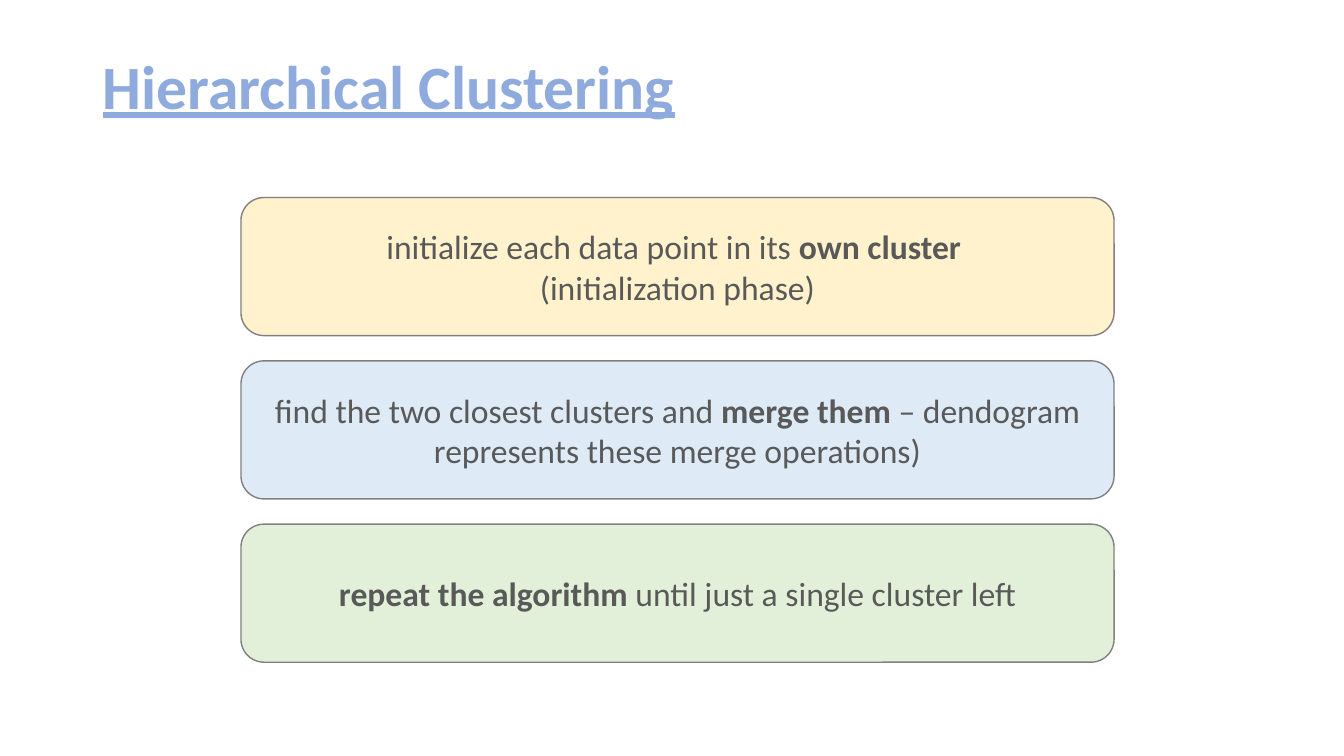
import pptx
import pptx.util
import pptx.dml.color
import pptx.enum.shapes
import pptx.enum.text
from dataclasses import dataclass

Inches = pptx.util.Inches
Align = pptx.enum.text.PP_ALIGN
Anchor = pptx.enum.text.MSO_ANCHOR


@dataclass(frozen=True)
class Theme:
    font: str = "Calibri"
    title: str = "8FAADC"
    text: str = "595959"
    edge: str = "808080"
    fills: tuple = ("FFF2CC", "DEEBF7", "E2F0D9")
    head: int = 44
    body: int = 24


class Deck:
    """Draws styled elements on a slide, placed in columns and rows of a grid."""

    left, top = 2.39, 1.96
    wide, high, pitch = 8.66, 1.37, 1.62

    def __init__(self, theme):
        self.theme = theme
        self.show = pptx.Presentation()
        self.show.slide_width = Inches(13.33)
        self.show.slide_height = Inches(7.5)
        self.slide = self.show.slides.add_slide(self.show.slide_layouts[5])

    def place(self, row):
        spot = (self.left, self.top + row * self.pitch, self.wide, self.high)
        return [Inches(n) for n in spot]

    def style(self, font, size, color):
        font.name = self.theme.font
        font.size = pptx.util.Pt(size)
        font.color.rgb = pptx.dml.color.RGBColor.from_string(color)

    def title(self, text):
        box = self.slide.shapes.title
        box.left, box.top = Inches(0.92), Inches(0.16)
        box.width, box.height = Inches(11.5), Inches(1.45)
        frame = box.text_frame
        frame.text = text
        frame.word_wrap = True
        frame.vertical_anchor = Anchor.MIDDLE
        para = frame.paragraphs[0]
        para.alignment = Align.LEFT
        para.line_spacing = 0.9
        self.style(para.font, self.theme.head, self.theme.title)
        para.font.bold = para.font.underline = True

    def step(self, row, lines):
        kind = pptx.enum.shapes.MSO_SHAPE.ROUNDED_RECTANGLE
        box = self.slide.shapes.add_shape(kind, *self.place(row))
        box.shadow.inherit = False
        color = pptx.dml.color.RGBColor.from_string
        box.fill.solid()
        box.fill.fore_color.rgb = color(self.theme.fills[row])
        box.line.color.rgb = color(self.theme.edge)
        box.line.width = pptx.util.Pt(1)
        frame = box.text_frame
        frame.word_wrap = True
        frame.vertical_anchor = Anchor.MIDDLE
        for i, line in enumerate(lines):
            para = frame.add_paragraph() if i else frame.paragraphs[0]
            para.alignment = Align.CENTER
            self.style(para.font, self.theme.body, self.theme.text)
            for text, bold in line:
                run = para.add_run()
                run.text = text
                run.font.bold = bold


STEPS = [
    [[("initialize each data point in its ", False), ("own cluster ", True)],
     [("(initialization phase)", False)]],
    [[("find the two closest clusters and ", False), ("merge them ", True),
      ("– dendogram represents these merge operations)", False)]],
    [[("repeat the algorithm", True),
      (" until just a single cluster left", False)]],
]


def main():
    deck = Deck(Theme())
    deck.title("Hierarchical Clustering")
    for row, lines in enumerate(STEPS):
        deck.step(row, lines)
    deck.show.save("out.pptx")


if __name__ == "__main__":
    main()
